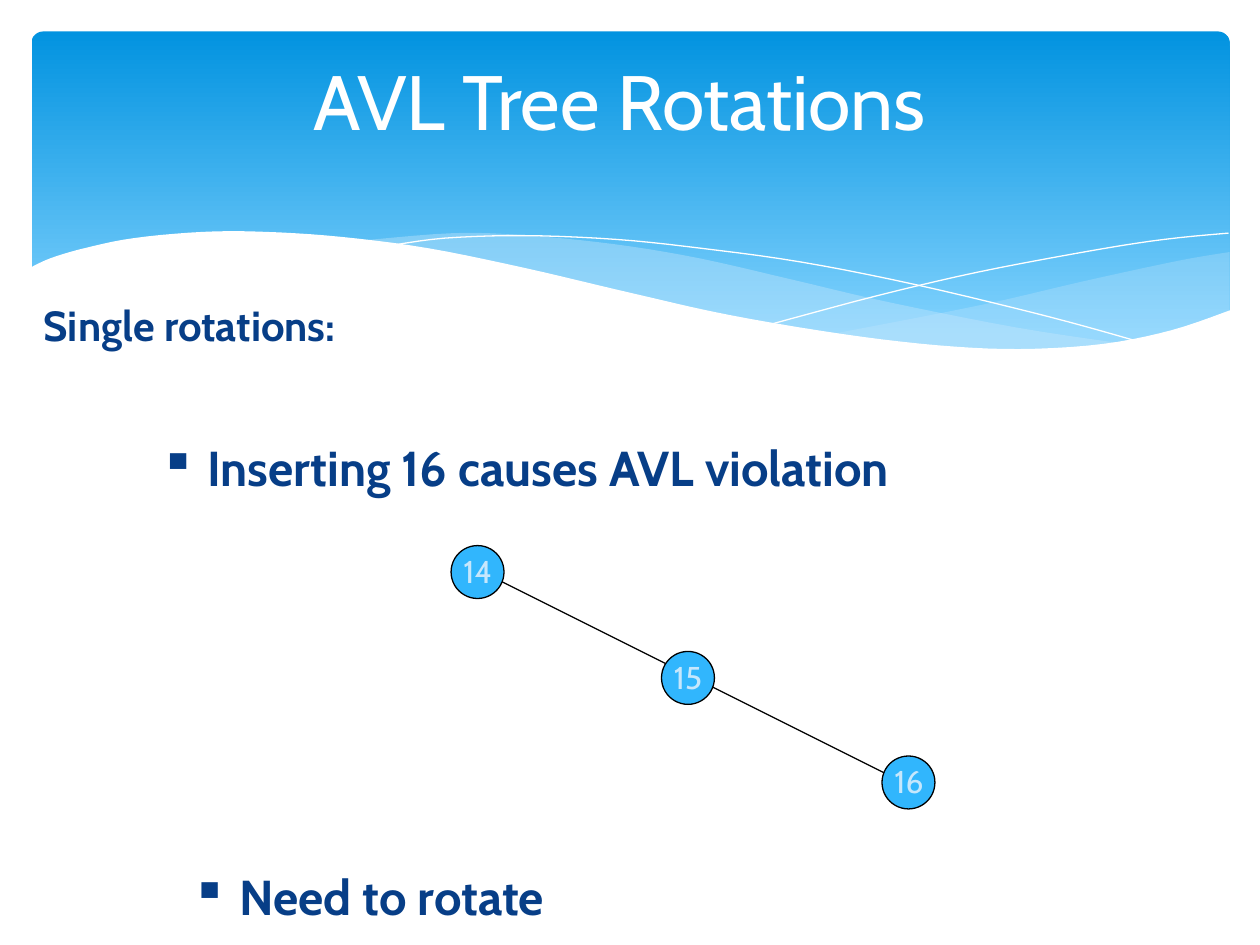
from lxml.etree import SubElement
from pptx import Presentation
from pptx.dml.color import RGBColor
from pptx.enum.shapes import MSO_CONNECTOR as Link, MSO_SHAPE as Preset
from pptx.enum.text import MSO_ANCHOR as Anchor, MSO_AUTO_SIZE as AutoSize, PP_ALIGN as Align
from pptx.oxml.ns import qn
from pptx.util import Inches, Pt

COLORS = {
    "white": "FFFFFF", "black": "000000", "navy": "073E87", "pale": "C6E7FC",
    "node": "31B6FD", "band_top": "0293E0", "band_bottom": "83D3FE",
}


def rgb(name):
    return RGBColor.from_string(COLORS[name])


def smooth(points, steps=5):
    """Catmull-Rom curve through the points, as short segments."""
    ends = [points[0], *points, points[-1]]
    curve = [points[0]]
    for a, b, c, d in zip(ends, ends[1:], ends[2:], ends[3:]):
        for step in range(1, steps + 1):
            t = step / steps
            curve.append(tuple(
                (2 * q + (r - p) * t + (2 * p - 5 * q + 4 * r - s) * t ** 2
                 + (3 * q - p - 3 * r + s) * t ** 3) / 2
                for p, q, r, s in zip(a, b, c, d)))
    return curve


class SlideBuilder:
    font = "Cabin"
    node_size = 0.42

    def __init__(self, page):
        self.page = page
        self.shapes = page.shapes

    def format(self, para, size, color, bold=False):
        for span in para.runs:
            span.font.name = self.font
            span.font.size = Pt(size)
            span.font.bold = bold
            span.font.color.rgb = rgb(color)

    def title(self, text, left, top, width, height):
        box = self.shapes.title
        box.left, box.top, box.width, box.height = map(Inches, (left, top, width, height))
        frame = box.text_frame
        frame.text = text
        frame.vertical_anchor = Anchor.MIDDLE
        frame.paragraphs[0].alignment = Align.CENTER
        self.format(frame.paragraphs[0], 44, "white")
        # Bring the title in front of the band
        box.element.getparent().append(box.element)

    def text(self, text, left, top, width, height, size, color, bold=False):
        box = self.shapes.add_textbox(*map(Inches, (left, top, width, height)))
        box.text_frame.word_wrap = True
        box.text_frame.text = text
        self.format(box.text_frame.paragraphs[0], size, color, bold)
        return box

    def statement(self, text, left, top, width, size, indent, bullet=None):
        box = self.text(text, left, top, width, 0.67, size, "navy", bold=True)
        para = box.text_frame.paragraphs[0]
        para.space_before = Pt(size * 0.2)
        props = para._p.get_or_add_pPr()
        props.set("marL", str(Inches(indent)))
        props.set("indent", str(-Inches(indent)))
        if bullet:
            SubElement(props, qn("a:buChar")).set("char", bullet)

    def band(self, left, top, width, height):
        box = self.shapes.add_shape(Preset.ROUNDED_RECTANGLE,
                                    *map(Inches, (left, top, width, height)))
        box.adjustments[0] = 0.034
        box.shadow.inherit = False
        box.fill.gradient()
        box.fill.gradient_angle = 270
        for stop, color, place in zip(box.fill.gradient_stops,
                                      ("band_top", "band_bottom"), (0, 0.9)):
            stop.color.rgb = rgb(color)
            stop.position = place
        box.line.fill.background()

    def outline(self, points, closed):
        points = [(Inches(x), Inches(y)) for x, y in points]
        builder = self.shapes.build_freeform(*points[0])
        builder.add_line_segments(points[1:], close=closed)
        shape = builder.convert_to_shape()
        shape.shadow.inherit = False
        return shape

    def wave(self, points, color, opacity=100):
        shape = self.outline(points, closed=True)
        shape.fill.solid()
        shape.fill.fore_color.rgb = rgb(color)
        if opacity < 100:
            tint = shape.element.spPr.find(".//" + qn("a:srgbClr"))
            SubElement(tint, qn("a:alpha")).set("val", str(opacity * 1000))
        shape.line.fill.background()

    def hairline(self, points):
        shape = self.outline(smooth(points), closed=False)
        shape.fill.background()
        shape.line.color.rgb = rgb("white")
        shape.line.width = Pt(0)

    def edge(self, start, end):
        line = self.shapes.add_connector(Link.STRAIGHT, *map(Inches, (*start, *end)))
        line.line.color.rgb = rgb("black")
        line.line.width = Pt(0.75)
        SubElement(line.element.spPr, qn("a:effectLst"))

    def node(self, label, left, top):
        circle = self.shapes.add_shape(
            Preset.OVAL, *map(Inches, (left, top, self.node_size, self.node_size)))
        circle.shadow.inherit = False
        circle.fill.solid()
        circle.fill.fore_color.rgb = rgb("node")
        circle.line.color.rgb = rgb("black")
        circle.line.width = Pt(0.75)
        box = self.text(label, left, top, 0.5, 0.4, 18, "pale")
        box.text_frame.auto_size = AutoSize.SHAPE_TO_FIT_TEXT


def main():
    deck = Presentation()
    deck.slide_width, deck.slide_height = Inches(10), Inches(7.5)
    page = deck.slides.add_slide(deck.slide_layouts[5])
    slide = SlideBuilder(page)

    # Header band with its waves
    slide.band(0.25, 0.25, 9.51, 2.7)
    slide.wave(
        smooth([(9.76, 2), (9.35, 2.07), (8.61, 2.23), (7.79, 2.42), (6.61, 2.65)])
        + smooth([(6.61, 2.65), (7.05, 2.71), (7.57, 2.76), (8.14, 2.78), (8.63, 2.75),
                  (9.13, 2.67), (9.49, 2.57), (9.76, 2.47)]),
        "pale", 29)
    slide.wave(
        smooth([(8.93, 2.73), (8.07, 2.6), (7.06, 2.4), (6.29, 2.22), (5.55, 2.05),
                (4.89, 1.94), (4.2, 1.87), (3.61, 1.85), (2.86, 1.91)])
        + smooth([(2.86, 1.91), (3.62, 2.03), (4.49, 2.22), (5.3, 2.4), (6.18, 2.58),
                  (6.95, 2.7), (7.61, 2.77), (8.18, 2.78), (8.93, 2.73)]),
        "pale", 40)
    slide.hairline([(3.09, 1.95), (3.53, 1.89), (4.16, 1.87), (4.89, 1.9), (5.56, 1.97),
                    (6.36, 2.08), (7.27, 2.26), (8.31, 2.51), (9.07, 2.72)])
    slide.hairline([(6.13, 2.57), (6.95, 2.35), (7.76, 2.16), (8.66, 1.99),
                    (9.24, 1.9), (9.75, 1.85)])
    slide.wave(
        smooth([(9.77, 2.46), (9.3, 2.62), (8.75, 2.73), (8.09, 2.77), (7.44, 2.74),
                (6.68, 2.65), (5.79, 2.5), (5.03, 2.33), (4.18, 2.13), (3.4, 1.97),
                (2.71, 1.88), (2.11, 1.84), (1.61, 1.84), (1.06, 1.89), (0.67, 1.97),
                (0.4, 2.05), (0.23, 2.13)])
        + [(0.23, 3.29), (9.77, 3.29)],
        "white")

    # Heading and statements
    slide.title("AVL Tree Rotations", 0.67, 0.17, 8.5, 1.25)
    slide.statement("Single rotations:", 0.25, 2.33, 9.33, 24, 0.3)
    slide.statement("Inserting 16 causes AVL violation", 1.17, 3.42, 8.17, 28, 0.38, "▪")
    slide.statement("Need to rotate", 1.42, 6.83, 4, 28, 0.38, "▪")

    # Unbalanced tree: the edge runs behind the nodes
    slide.edge((3.75, 4.5), (7.25, 6.25))
    for label, left, top in (("14", 3.58, 4.33), ("15", 5.25, 5.17), ("16", 7, 6)):
        slide.node(label, left, top)

    deck.save("out.pptx")


if __name__ == "__main__":
    main()
